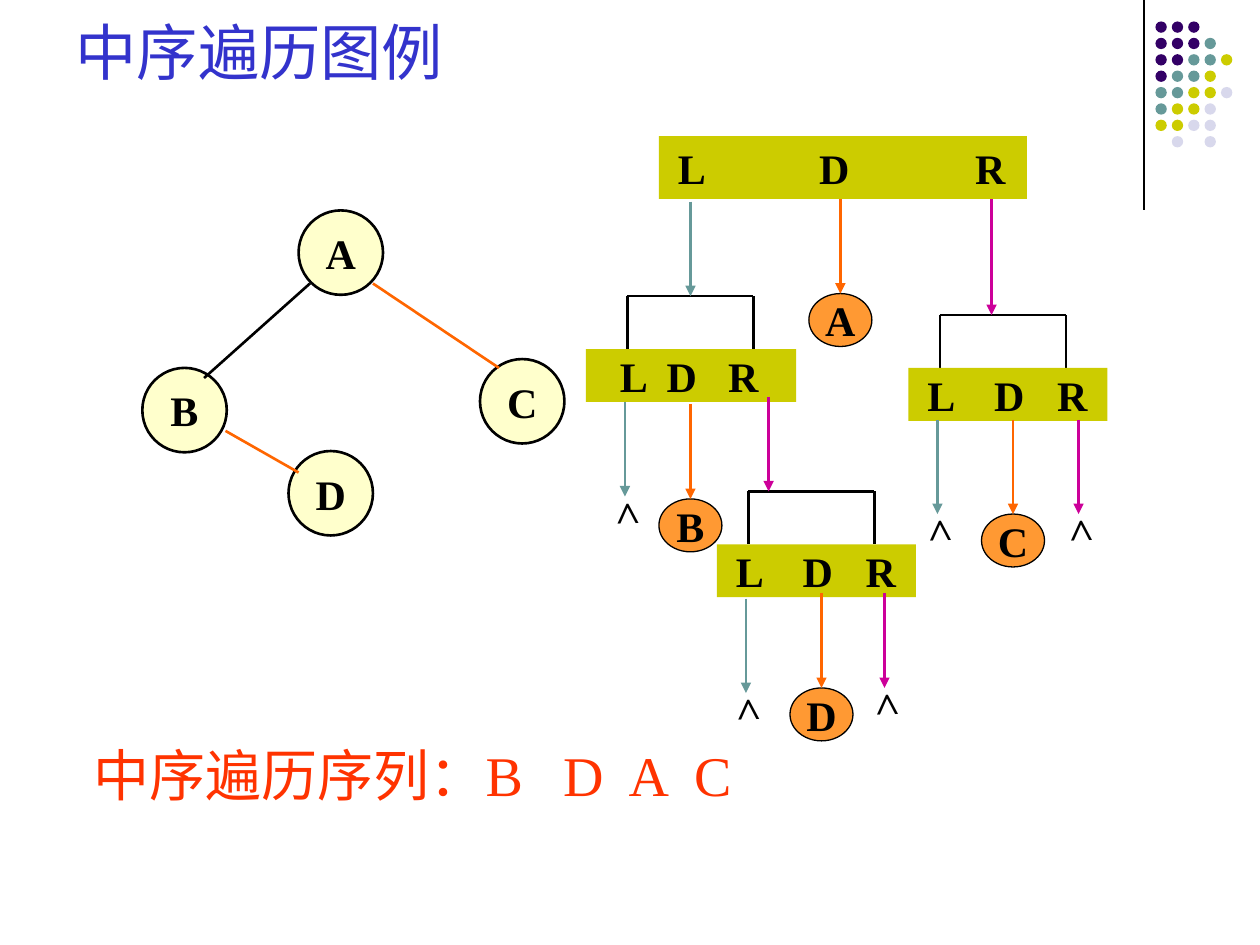
from dataclasses import dataclass

from lxml import etree
from pptx import Presentation
from pptx.dml.color import RGBColor
from pptx.enum import shapes, text
from pptx.oxml import ns
from pptx.util import Inches, Pt


@dataclass(frozen=True)
class Theme:
    title: str = "3333CC"
    result: str = "FF3300"
    ink: str = "000000"
    tree: str = "FFFFCC"
    visit: str = "FF9933"
    bar: str = "CCCC00"
    left: str = "669999"
    mid: str = "FF6600"
    right: str = "CC0099"
    dark: str = "330066"
    pale: str = "D8D8EC"
    serif: str = "Times New Roman"
    sans: str = "Arial"
    big: float = 35
    sum: float = 32
    mark: float = 24


T = Theme()
KIND = shapes.MSO_SHAPE
DROP = 0.75  # arrow length
RISE = 0.42  # height of a bracket, a bar and a visited node


def rgb(code):
    return RGBColor.from_string(code)


def style(par, size, color, name=T.serif, bold=False):
    font = par.font
    font.size, font.name, font.bold = Pt(size), name, bold
    font.color.rgb = rgb(color)


def set_tabs(par, stops):
    tabs = etree.SubElement(par._p.get_or_add_pPr(), ns.qn("a:tabLst"))
    for stop in stops:
        etree.SubElement(tabs, ns.qn("a:tab"), pos=str(Inches(stop)), algn="l")


def add_form(slide, kind, box, fill, width=0):
    form = slide.shapes.add_shape(kind, *map(Inches, box))
    form.shadow.inherit = False
    form.fill.solid()
    form.fill.fore_color.rgb = rgb(fill)
    if width:
        form.line.color.rgb = rgb(T.ink)
        form.line.width = Pt(width)
    else:
        form.line.fill.background()
    return form


def add_node(slide, box, label, fill, width):
    node = add_form(slide, KIND.OVAL, box, fill, width)
    frame = node.text_frame
    frame.word_wrap = False
    frame.vertical_anchor = text.MSO_ANCHOR.MIDDLE
    par = frame.paragraphs[0]
    par.text, par.alignment = label, text.PP_ALIGN.CENTER
    style(par, T.mark, T.ink, bold=True)
    return node


def add_line(slide, start, end, color=T.ink, width=1.5, head=False):
    line = slide.shapes.add_connector(
        shapes.MSO_CONNECTOR.STRAIGHT, *map(Inches, (*start, *end)))
    line.line.color.rgb = rgb(color)
    line.line.width = Pt(width)
    if head:
        etree.SubElement(line.line._get_or_add_ln(), ns.qn("a:tailEnd"),
                         type="triangle")
    etree.SubElement(line._element.spPr, ns.qn("a:effectLst"))
    return line


def add_text(slide, box, words, size, color, bold=False, stops=()):
    area = slide.shapes.add_textbox(*map(Inches, box))
    area.text_frame.word_wrap = True
    par = area.text_frame.paragraphs[0]
    par.text = words
    if stops:
        set_tabs(par, stops)
    style(par, size, color, bold=bold)
    return area


def add_bar(slide, box, cols):
    """Bar reading L, D, R, each letter starting at its column."""
    bar = add_form(slide, KIND.RECTANGLE, box, T.bar)
    frame = bar.text_frame
    frame.word_wrap = True
    frame.vertical_anchor = text.MSO_ANCHOR.MIDDLE
    frame.margin_left = Inches(cols[0] - box[0])
    frame.margin_right = 0
    par = frame.paragraphs[0]
    par.text, par.alignment = "L\tD\tR", text.PP_ALIGN.LEFT
    set_tabs(par, [col - cols[0] for col in cols[1:]])
    style(par, T.mark, T.ink, bold=True)


def add_step(slide, x, y, left, width, cols):
    """Bracket one inch wide with a bar below it."""
    low = y + RISE
    add_line(slide, (x, y), (x + 1, y))
    for side in (x, x + 1):
        add_line(slide, (side, y), (side, low))
    add_bar(slide, (left, low, width, RISE), cols)


def add_visit(slide, x, y, label):
    end = y + DROP
    node = add_node(slide, (x - 0.25, end, 0.5, RISE), label, T.visit, 0.75)
    line = add_line(slide, (x, y), (x, end), T.mid, head=True)
    line.end_connect(node, 0)


def add_empty(slide, x, y, color):
    end = y + DROP
    add_line(slide, (x, y), (x, end), color, head=True)
    sign = add_text(slide, (x - 0.21, end - 0.13, 0.42, 0.5), ">",
                    T.mark, T.ink, bold=True)
    sign.rotation = 268.3


def add_decor(slide):
    """Corner rule and dot grid."""
    add_line(slide, (9.08, 0), (9.08, 1.67), width=0.75)
    tone = {"d": T.dark, "t": T.left, "y": T.bar, "p": T.pale}
    rows = ("ddd", "dddt", "ddtty", "dtty", "ttyyp", "tyyp", "yypp", ".p.p")
    for r, row in enumerate(rows):
        for c, key in enumerate(row):
            if key in tone:
                box = (9.17 + 0.13 * c, 0.17 + 0.13 * r, 0.09, 0.09)
                add_form(slide, KIND.OVAL, box, tone[key])


def add_title(slide):
    title = slide.shapes.title
    title.left, title.top, title.width, title.height = map(
        Inches, (0.5, 0.13, 8.42, 0.62))
    title.text_frame.vertical_anchor = text.MSO_ANCHOR.BOTTOM
    par = title.text_frame.paragraphs[0]
    par.text, par.alignment = "中序遍历图例", text.PP_ALIGN.LEFT
    style(par, T.big, T.title, T.sans)


def add_tree(slide):
    for label, x, y in (("A", 2.37, 1.67), ("D", 2.29, 3.58),
                        ("B", 1.13, 2.92), ("C", 3.81, 2.85)):
        add_node(slide, (x, y, 0.67, 0.67), label, T.tree, 1.5)
    add_line(slide, (2.46, 2.25), (1.62, 3))
    add_line(slide, (2.96, 2.25), (3.96, 2.92), T.mid)
    add_line(slide, (1.79, 3.42), (2.37, 3.75), T.mid)


def add_trace(slide):
    # Bars, from the root call down
    add_bar(slide, (5.23, 1.08, 2.92, 0.5), (5.38, 6.5, 7.74))
    add_step(slide, 4.98, 2.35, 4.65, 1.67, (4.92, 5.29, 5.78))
    add_step(slide, 5.94, 3.9, 5.69, 1.58, (5.84, 6.37, 6.87))
    add_step(slide, 7.46, 2.5, 7.21, 1.58, (7.36, 7.89, 8.39))

    # Calls into subtrees
    for x, y, end, color in ((5.48, 1.6, 2.35, T.left),
                             (6.1, 3.15, 3.9, T.right),
                             (7.87, 1.58, 2.5, T.right)):
        add_line(slide, (x, y), (x, end), color, head=True)

    # Visited nodes and empty subtrees
    for x, y, label in ((6.67, 1.58, "A"), (5.48, 3.21, "B"),
                        (8.04, 3.33, "C"), (6.52, 4.71, "D")):
        add_visit(slide, x, y, label)
    for x, y, color in ((4.96, 3.19, T.left), (5.92, 4.75, T.left),
                        (7.02, 4.71, T.right), (7.44, 3.33, T.left),
                        (8.56, 3.33, T.right)):
        add_empty(slide, x, y, color)


def main():
    deck = Presentation()
    deck.slide_width, deck.slide_height = Inches(10), Inches(7.5)
    slide = deck.slides.add_slide(deck.slide_layouts[5])
    add_decor(slide)
    add_title(slide)
    add_tree(slide)
    add_trace(slide)
    # Resulting sequence
    add_text(slide, (0.64, 5.83, 5.32, 0.64), "中序遍历序列：B\tD\tA\tC",
             T.sum, T.result, stops=(3.73, 4.25, 4.77))
    deck.save("out.pptx")


if __name__ == "__main__":
    main()
